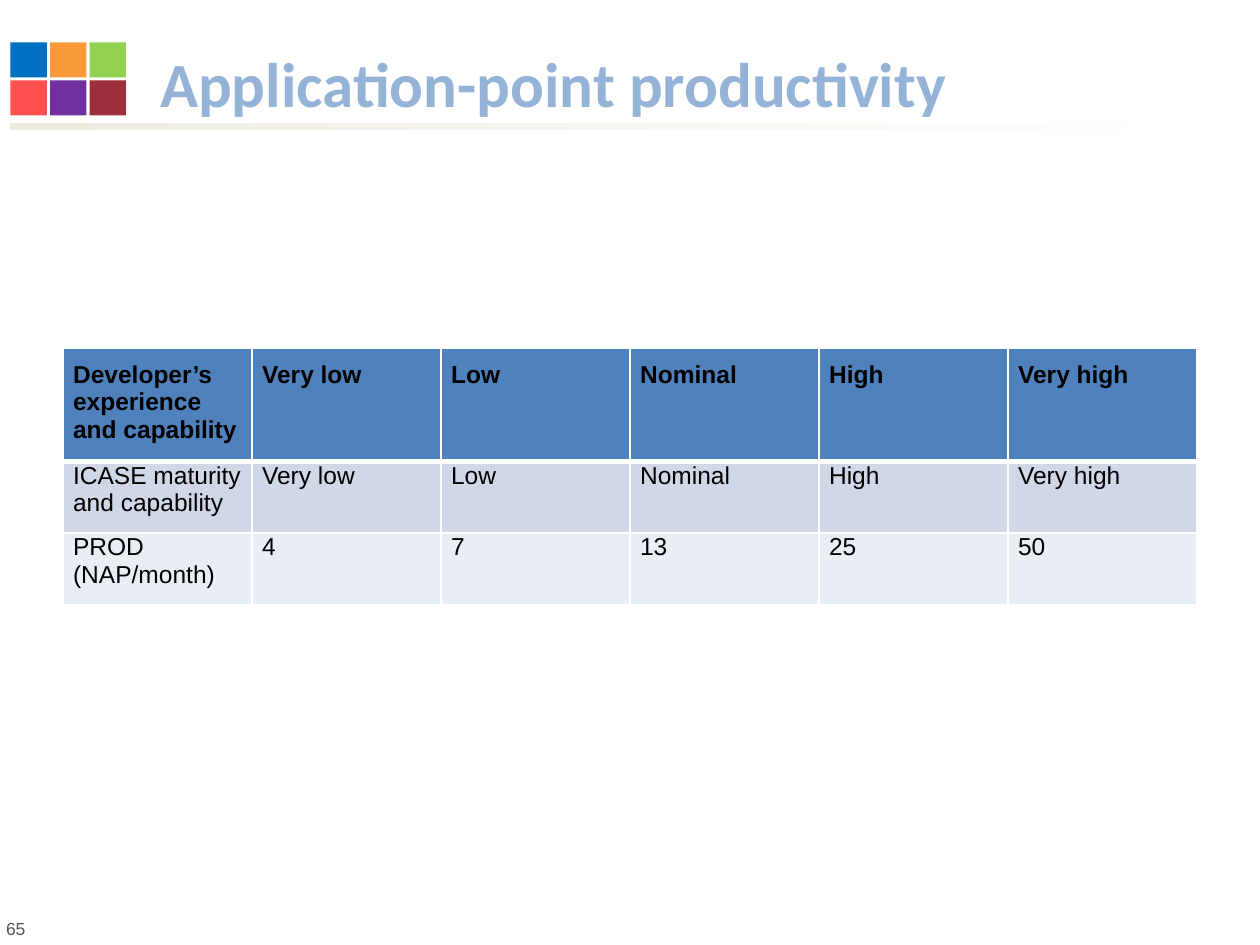
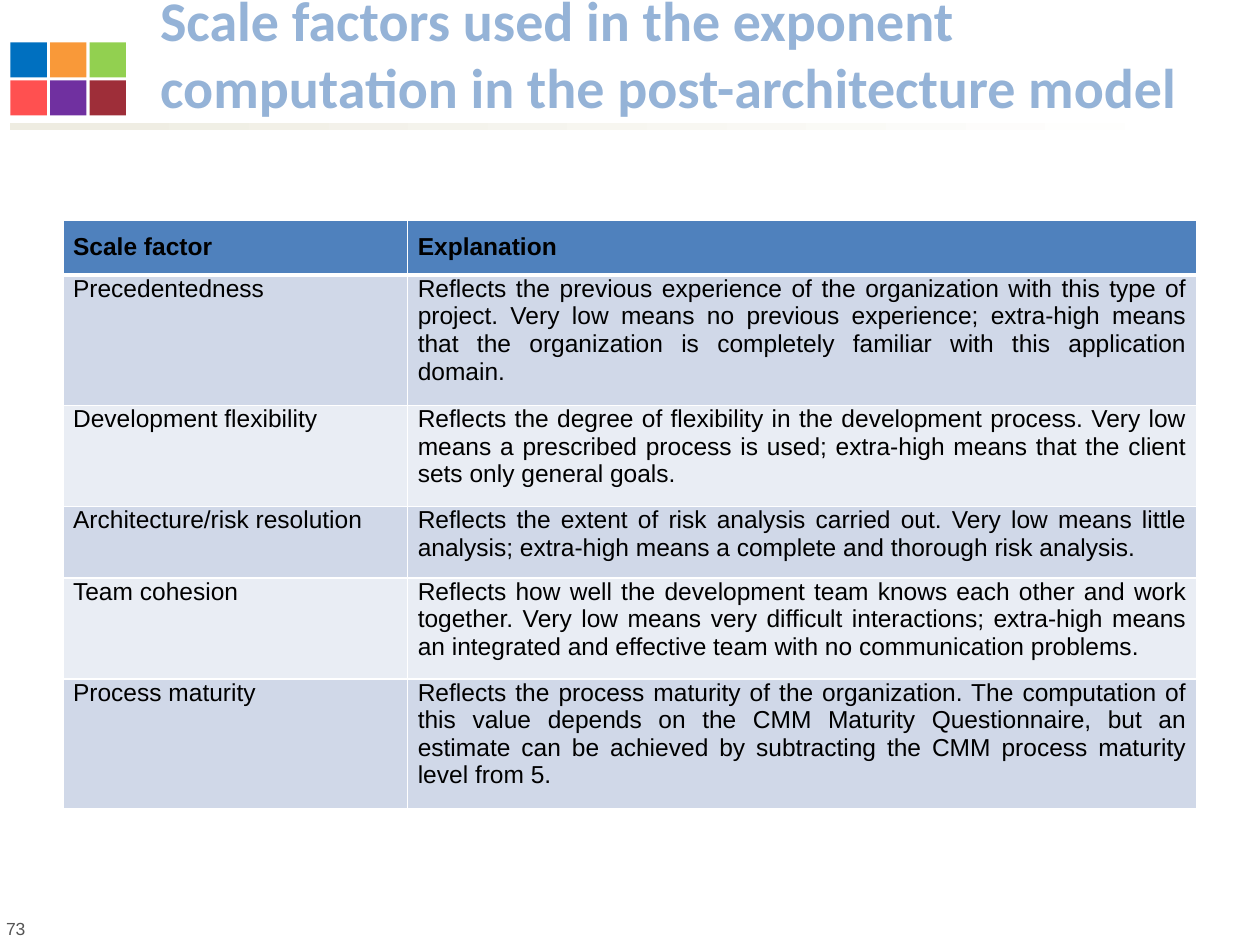
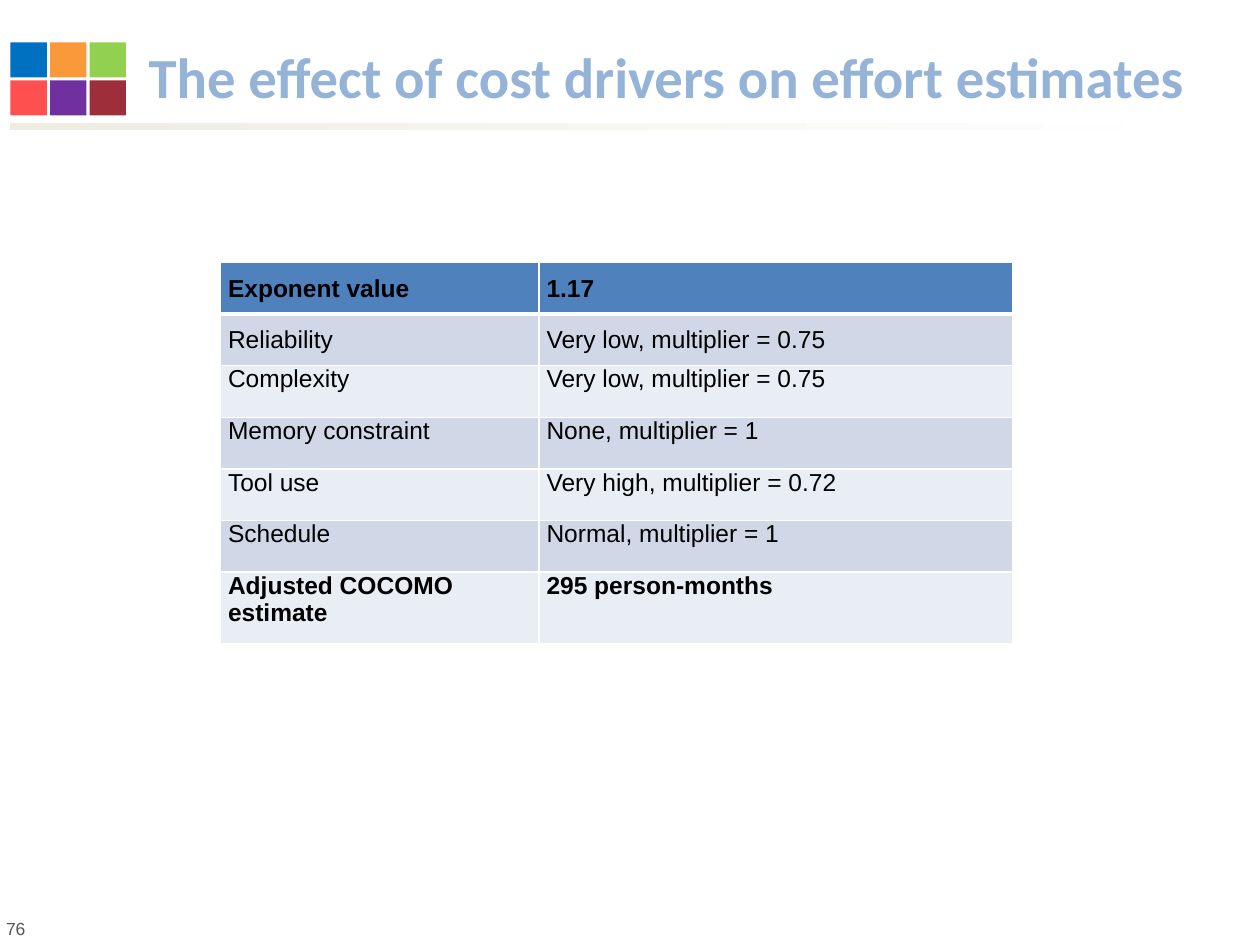
import pptx
import pptx.dml.color
import pptx.enum.shapes
import pptx.enum.text
import pptx.oxml
import pptx.oxml.ns
import pptx.util

Pt = pptx.util.Pt
ALIGN = pptx.enum.text.PP_ALIGN
ANCHOR = pptx.enum.text.MSO_ANCHOR

COLORS = {
    "title": "95B3D7",
    "text": "000000",
    "number": "555555",
    "rule_start": "EEECE1",
    "white": "FFFFFF",
    "header": "4F81BD",
    "odd_row": "D0D8E8",
    "even_row": "E9EDF4",
    "blue": "0070C0",
    "orange": "F99939",
    "green": "92D050",
    "red": "FF5050",
    "purple": "7030A0",
    "maroon": "9E2E39",
}
TILES = [["blue", "orange", "green"], ["red", "purple", "maroon"]]
TITLE_BOX = (84.24, 23.04, 624.24, 48.96)
ROW_HEIGHT = 29.5
PAD = 7.2

PRODUCTIVITY = [
    ["Developer’s experience and capability", "Very low", "Low", "Nominal", "High", "Very high"],
    ["ICASE maturity and capability", "Very low", "Low", "Nominal", "High", "Very high"],
    ["PROD (NAP/month)", "4", "7", "13", "25", "50"],
]
SCALE_FACTORS = [
    ["Scale factor", "Explanation"],
    ["Precedentedness",
     "Reflects the previous experience of the organization with this type of project. "
     "Very low means no previous experience; extra-high means that the organization is "
     "completely familiar with this application domain."],
    ["Development flexibility",
     "Reflects the degree of flexibility in the development process. Very low means a "
     "prescribed process is used; extra-high means that the client sets only general goals."],
    ["Architecture/risk resolution",
     "Reflects the extent of risk analysis carried out. Very low means little analysis; "
     "extra-high means a complete and thorough risk analysis."],
    ["Team cohesion",
     "Reflects how well the development team knows each other and work together. Very low "
     "means very difficult interactions; extra-high means an integrated and effective team "
     "with no communication problems."],
    ["Process maturity",
     "Reflects the process maturity of the organization. The computation of this value "
     "depends on the CMM Maturity Questionnaire, but an estimate can be achieved by "
     "subtracting the CMM process maturity level from 5."],
]
COST_DRIVERS = [
    ["Exponent value", "1.17"],
    ["Reliability", "Very low, multiplier = 0.75"],
    ["Complexity", "Very low, multiplier = 0.75"],
    ["Memory constraint", "None, multiplier = 1"],
    ["Tool use", "Very high, multiplier = 0.72"],
    ["Schedule", "Normal, multiplier = 1"],
    ["Adjusted COCOMO estimate", "295 person-months"],
]


def rgb(name):
    return pptx.dml.color.RGBColor.from_string(COLORS[name])


def pts(*values):
    return [Pt(v) for v in values]


def write(tf, text, size=14, font="Arial", color="text", bold=False,
          align=ALIGN.LEFT, after=0):
    p = tf.paragraphs[0]
    p.alignment = align
    p.space_after = Pt(after)
    r = p.add_run()
    r.text = text
    r.font.size = Pt(size)
    r.font.name = font
    r.font.bold = bold
    r.font.color.rgb = rgb(color)


def add_rect(slide, left, top, width, height):
    sp = slide.shapes.add_shape(pptx.enum.shapes.MSO_SHAPE.RECTANGLE,
                                *pts(left, top, width, height))
    sp.shadow.inherit = False
    sp.line.fill.background()
    return sp


def add_rule(slide):
    fill = add_rect(slide, 5.76, 70.56, 682.56, 3.6).fill
    fill.gradient()
    fill.gradient_angle = 0
    for stop, name in zip(fill.gradient_stops, ("rule_start", "white")):
        stop.color.rgb = rgb(name)


def add_tiles(slide):
    for row, names in enumerate(TILES):
        for col, name in enumerate(names):
            sp = add_rect(slide, 6 + 22.6 * col, 24.2 + 21.8 * row, 20.8, 20)
            sp.fill.solid()
            sp.fill.fore_color.rgb = rgb(name)


def add_number(slide, number):
    sp = slide.shapes.add_textbox(*pts(-3.6, 521.28, 417.6, 19.44))
    sp.text_frame.word_wrap = True
    write(sp.text_frame, str(number), size=10, color="number")


def set_title(slide, text, size, box):
    sp = slide.shapes.title
    sp.left, sp.top, sp.width, sp.height = pts(*box)
    tf = sp.text_frame
    tf.auto_size = pptx.enum.text.MSO_AUTO_SIZE.NONE
    tf.word_wrap = True
    tf.vertical_anchor = ANCHOR.BOTTOM
    write(tf, text, size=size, font="Calibri", color="title", bold=True)


def add_slide(prs, number, title, size, box=TITLE_BOX):
    slide = prs.slides.add_slide(prs.slide_layouts[5])
    add_rule(slide)
    add_number(slide, number)
    add_tiles(slide)
    set_title(slide, title, size, box)
    return slide


def set_borders(cell, top, bottom):
    tc_pr = cell._tc.get_or_add_tcPr()
    for side, width in (("L", 1), ("R", 1), ("T", top), ("B", bottom)):
        tc_pr.append(pptx.oxml.parse_xml(
            f'<a:ln{side} {pptx.oxml.ns.nsdecls("a")} w="{Pt(width)}"><a:solidFill>'
            f'<a:srgbClr val="{COLORS["white"]}"/></a:solidFill></a:ln{side}>'))


def add_grid(slide, rows, left, top, widths, pads, side=PAD,
             first_align=ALIGN.LEFT, after=0, bold_rows=(0,)):
    sp = slide.shapes.add_table(len(rows), len(widths), *pts(
        left, top, sum(widths), ROW_HEIGHT * len(rows)))
    table = sp.table
    table.horz_banding = False
    for column, width in zip(table.columns, widths):
        column.width = Pt(width)
    for i, texts in enumerate(rows):
        fill = "header" if i == 0 else "odd_row" if i % 2 else "even_row"
        for j, text in enumerate(texts):
            cell = table.cell(i, j)
            cell.margin_left = cell.margin_right = Pt(side)
            cell.margin_top, cell.margin_bottom = pts(*pads[i])
            set_borders(cell, 3 if i == 1 else 1, 3 if i == 0 else 1)
            cell.fill.solid()
            cell.fill.fore_color.rgb = rgb(fill)
            write(cell.text_frame, text, bold=i in bold_rows, after=after,
                  align=ALIGN.JUSTIFY if j else first_align)


def main():
    prs = pptx.Presentation()
    prs.slide_width, prs.slide_height = pts(720, 540)

    slide = add_slide(prs, 65, "Application-point productivity", 36)
    add_grid(slide, PRODUCTIVITY, 36, 199, [108] * 6,
             [(PAD, PAD)] + [(0, PAD)] * 2, side=5.76)

    slide = add_slide(prs, 73, "Scale factors used in the exponent computation "
                      "in the post-architecture model", 32)
    add_grid(slide, SCALE_FACTORS, 36, 126, [197, 451],
             [(PAD, PAD)] + [(0, PAD)] * 5, side=5.76, first_align=ALIGN.JUSTIFY)

    slide = add_slide(prs, 76, "The effect of cost drivers on effort estimates", 32.4,
                      (77.76, 18, 617.76, 48.24))
    add_grid(slide, COST_DRIVERS, 126, 150, [182, 271],
             [(PAD, 0)] * 2 + [(0, 0)] * 4 + [(0, PAD)], side=4.32,
             after=3, bold_rows=(0, 6))

    prs.save("out.pptx")


if __name__ == "__main__":
    main()
